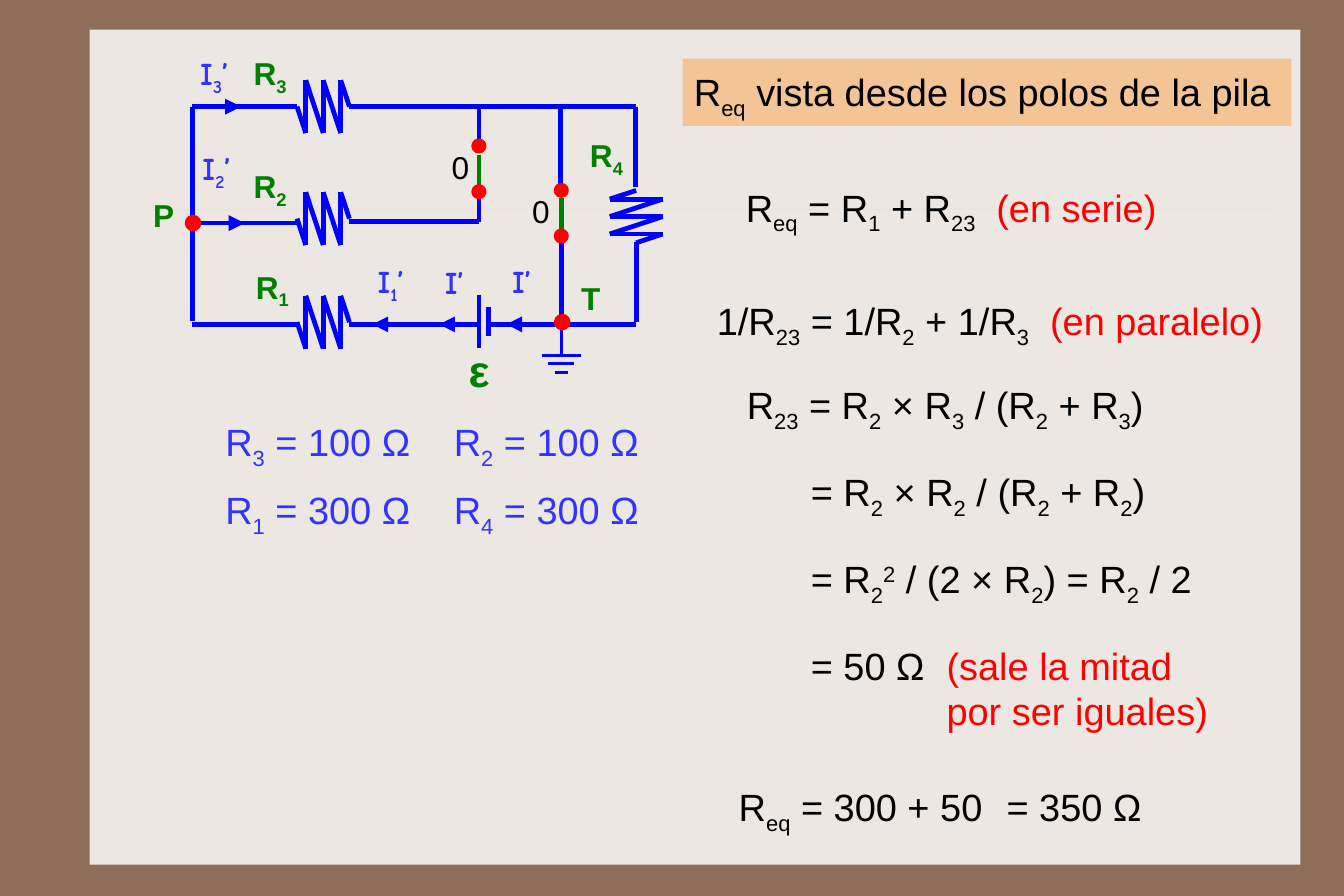
from dataclasses import dataclass
from itertools import pairwise

from lxml.etree import SubElement
from pptx import Presentation
from pptx.dml.color import RGBColor
from pptx.enum.shapes import MSO_CONNECTOR as Connector, MSO_SHAPE as Shape
from pptx.enum.text import MSO_ANCHOR as Anchor, PP_ALIGN as Align
from pptx.oxml.ns import qn
from pptx.util import Cm, Pt


@dataclass(frozen=True)
class Theme:
    frame: str = "906D58"
    panel: str = "EDE7E3"
    rule: str = "CBBD83"
    banner: str = "F3C495"
    wire: str = "0000FF"
    switch: str = "008000"
    node: str = "FF0000"
    value: str = "3333FF"
    ink: str = "000000"
    font: str = "Arial"
    current_font: str = "Comic Neue"
    label_size: int = 20
    source_size: int = 28
    formula_size: int = 24
    wire_width: float = 3
    thin_width: float = 2
    rule_width: float = 0.25
    rule_alpha: str = "30000"


@dataclass(frozen=True)
class Box:
    left: float
    top: float
    width: float
    height: float

    def at(self, x, y):
        return Cm(self.left + x), Cm(self.top + y)


THEME = Theme()
BASELINES = {"_": "-25000", "^": "30000"}


def rgb(value):
    return RGBColor.from_string(value)


def add_line(slide, box, ends, color=THEME.wire, width=THEME.wire_width, arrow=False, alpha=None):
    x1, y1, x2, y2 = ends
    line = slide.shapes.add_connector(Connector.STRAIGHT, *box.at(x1, y1), *box.at(x2, y2))
    line.line.color.rgb = rgb(color)
    line.line.width = Pt(width)
    outline = line.line._get_or_add_ln()
    if alpha:
        SubElement(outline.find(".//" + qn("a:srgbClr")), qn("a:alpha"), val=alpha)
    if arrow:
        SubElement(outline, qn("a:tailEnd"), type="triangle", w="lg", len="lg")
    SubElement(line._element.spPr, qn("a:effectLst"))


def add_block(slide, box, kind, fill):
    block = slide.shapes.add_shape(kind, *box.at(0, 0), Cm(box.width), Cm(box.height))
    block.shadow.inherit = False
    block.fill.solid()
    block.fill.fore_color.rgb = rgb(fill)
    block.line.fill.background()
    return block


def add_node(slide, box, x, y, size, width):
    place = Box(box.left + x - size / 2, box.top + y - size / 2, size, size)
    node = add_block(slide, place, Shape.OVAL, THEME.node)
    node.line.color.rgb = rgb(THEME.node)
    node.line.width = Pt(width)


def write(frame, lines, size, color, font=THEME.font, bold=False, tab=None):
    frame.word_wrap = True
    frame.vertical_anchor = Anchor.TOP
    frame.margin_left = frame.margin_right = Cm(0.25)
    frame.margin_top = frame.margin_bottom = Cm(0.23)
    for number, line in enumerate(lines):
        paragraph = frame.add_paragraph() if number else frame.paragraphs[0]
        paragraph.alignment = Align.LEFT
        if tab:
            stops = SubElement(paragraph._p.get_or_add_pPr(), qn("a:tabLst"))
            SubElement(stops, qn("a:tab"), pos=str(Cm(tab)), algn="l")
        for piece in line.split("|"):
            mark = piece[0]
            run = paragraph.add_run()
            run.text = piece[1:] if mark in "_^!" else piece
            run.font.name = font
            run.font.size = Pt(size)
            run.font.bold = bold
            run.font.color.rgb = rgb(THEME.node if mark == "!" else color)
            if mark in BASELINES:
                run._r.get_or_add_rPr().set("baseline", BASELINES[mark])


def add_text(slide, box, x, y, width, height, lines, size, color, **style):
    area = slide.shapes.add_textbox(*box.at(x, y), Cm(width), Cm(height))
    write(area.text_frame, lines, size, color, **style)


def add_resistor(slide, box, x, y, upright=False):
    step, half = 0.195, 0.59
    zigzag = [(0, 0)]
    for peak in (1, 3, 5):
        zigzag += [(peak * step, half), (peak * step, -half)]
    zigzag.append((6 * step, 0))
    if upright:
        zigzag = [(-across, along) for along, across in zigzag]
    for (x1, y1), (x2, y2) in pairwise(zigzag):
        add_line(slide, box, (x + x1, y + y1, x + x2, y + y2))


def draw_backdrop(slide, box):
    slide.background.fill.solid()
    slide.background.fill.fore_color.rgb = rgb(THEME.frame)
    add_block(slide, box, Shape.RECTANGLE, THEME.panel)
    add_line(slide, box, (1.33, 4.01, 26.5, 4.01), THEME.rule, THEME.rule_width,
             alpha=THEME.rule_alpha)


def draw_circuit(slide, box):
    left, entry, leave, battery, ground, right = 1.09, 3.43, 4.6, 7.49, 9.33, 11.0
    top, middle, bottom = 1.38, 3.98, 6.24
    upper, lower = 3.17, 4.41

    wires = [(left, y, entry, y) for y in (top, middle, bottom)]
    wires += [
        (leave, top, right, top), (leave, middle - 0.03, battery, middle - 0.03),
        (leave, bottom, battery, bottom), (7.72, bottom, right, bottom),
        (left, top, left, bottom - 0.08),
        (battery, top, battery, 2.18), (battery, upper, battery, middle - 0.03),
        (battery, 5.58, battery, 6.77), (7.7, 5.86, 7.7, 6.49),
    ]
    for x in (ground, right):
        wires += [(x - 0.02, top, x - 0.02, upper), (x, lower, x, bottom - 0.05)]
    for wire in wires:
        add_line(slide, box, wire)
    for switch in [(battery, 2.45, battery, upper), (ground, 3.42, ground, 4.13)]:
        add_line(slide, box, switch, THEME.switch)
    for y in (top, middle - 0.1, bottom - 0.05):
        add_resistor(slide, box, entry, y)
    add_resistor(slide, box, right, 3.25, upright=True)

    add_line(slide, box, (ground, bottom, ground, 6.92), width=THEME.thin_width)
    for bar in range(3):
        y, half = 6.93 + 0.19 * bar, 0.43 - 0.14 * bar
        add_line(slide, box, (ground - half, y, ground + half, y), width=THEME.thin_width)

    for x, y in [(battery, 2.26), (battery, 3.28), (ground, 3.25), (ground, 4.27)]:
        add_node(slide, box, x, y, 0.23, THEME.wire_width)
    for x, y in [(left, middle), (ground, bottom - 0.05)]:
        add_node(slide, box, x + 0.02, y, 0.3, THEME.thin_width)

    for x1, x2, y in [(1.58, 2.18, top), (1.68, 2.26, middle), (5.72, 5.11, bottom),
                      (7.19, 6.6, bottom), (8.71, 8.1, bottom)]:
        add_line(slide, box, (x1, y, x2, y), width=THEME.thin_width, arrow=True)

    for name, x, y in [("R|_1", 2.26, 4.74), ("R|_2", 2.21, 2.49), ("R|_3", 2.21, -0.03),
                       ("R|_4", 9.72, 1.81), ("P", -0.03, 3.15), ("T", 9.52, 4.99)]:
        add_text(slide, box, x, y, 1.4, 1.3, [name], THEME.label_size, THEME.switch, bold=True)
    add_text(slide, box, 7.01, 6.44, 1.2, 1.5, ["ε"], THEME.source_size, THEME.switch, bold=True)
    for x, y in [(6.63, 2.07), (8.43, 3.06)]:
        add_text(slide, box, x, y, 0.9, 1.3, ["0"], THEME.label_size, THEME.ink)
    for current, x, y in [("I|_1|’", 4.98, 4.61), ("I|_2|’", 1.07, 2.1), ("I|_3|’", 1.02, -0.03),
                          ("I’", 6.48, 4.64), ("I’", 7.98, 4.61)]:
        add_text(slide, box, x, y, 1.4, 1.3, [current], THEME.label_size, THEME.value,
                 font=THEME.current_font, bold=True)


def list_values(slide, box):
    values = ["R|_3| = 100 Ω", "R|_2| = 100 Ω", "R|_1| = 300 Ω", "R|_4| = 300 Ω"]
    for index, value in enumerate(values):
        row, column = divmod(index, 2)
        add_text(slide, box, column * box.width / 2, row * box.height / 2, 4.9, 1.5,
                 [value], THEME.formula_size, THEME.value)


def derive_resistance(slide, box):
    banner = add_block(slide, Box(box.left + 0.04, box.top + 0.02, box.width, 1.5),
                       Shape.RECTANGLE, THEME.banner)
    write(banner.text_frame, ["R|_eq| vista desde los polos de la pila"],
          THEME.formula_size, THEME.ink)
    steps = [
        (1.2, 2.6, 10.2, 1.5, 5.59, ["R|_eq| = R|_1| + R|_23|!\t(en serie)"]),
        (0.55, 5.13, 13.5, 1.5, 7.44, ["1/R|_23| = 1/R|_2| + 1/R|_3|!\t(en paralelo)"]),
        (1.22, 7, 10.2, 1.5, None, ["R|_23| = R|_2| × R|_3| / (R|_2| + R|_3|)"]),
        (2.65, 8.94, 8.6, 1.5, None, ["= R|_2| × R|_2| / (R|_2| + R|_2|)"]),
        (2.65, 10.89, 9.5, 1.5, None, ["= R|_2|^2| / (2 × R|_2|) = R|_2| / 2"]),
        (2.65, 12.82, 9.9, 2.5, 3.03, ["= 50 Ω|!\t(sale la mitad", "!\tpor ser iguales)"]),
        (1.04, 15.98, 6.3, 1.5, None, ["R|_eq| = 300 + 50"]),
        (7.02, 15.98, 3.8, 1.5, None, ["= 350 Ω"]),
    ]
    for x, y, width, height, tab, lines in steps:
        add_text(slide, box, x, y, width, height, lines, THEME.formula_size, THEME.ink, tab=tab)


def main():
    deck = Presentation()
    deck.slide_width, deck.slide_height = Cm(30), Cm(20)
    slide = deck.slides.add_slide(deck.slide_layouts[6])
    draw_backdrop(slide, Box(2, 0.66, 27.03, 18.64))
    draw_circuit(slide, Box(3.2, 1, 11.6, 7.5))
    list_values(slide, Box(4.78, 9.12, 10.2, 3.04))
    derive_resistance(slide, Box(15.2, 1.29, 13.59, 17.5))
    deck.save("out.pptx")


if __name__ == "__main__":
    main()
